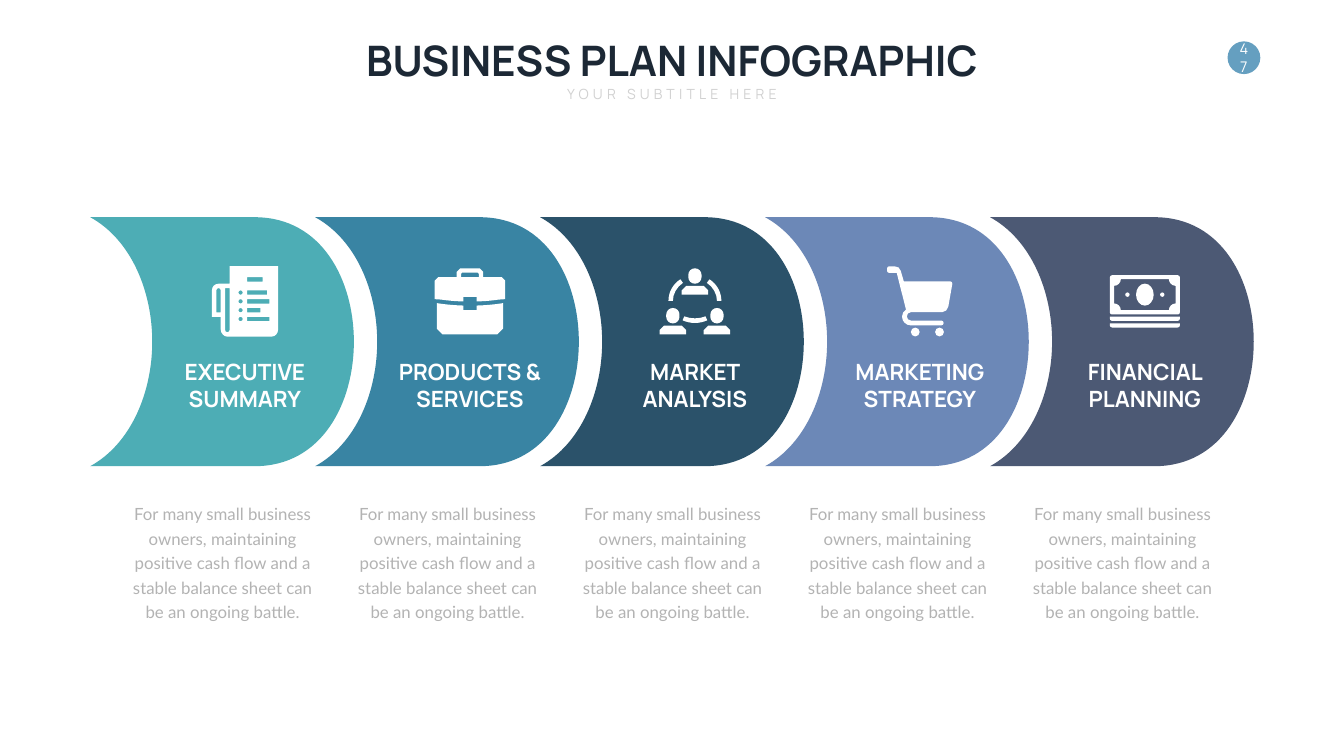
import pptx
import pptx.dml.color
import pptx.enum.shapes
import pptx.enum.text
import pptx.oxml.ns
import pptx.util
from pptx.util import Inches

COLORS = {
    "white": "FFFFFF", "title": "1C2835", "subtitle": "D1D1D1", "body": "B3B3B3",
    "badge": "659FC0", "teal": "4DADB5", "blue": "3984A3", "navy": "2B526A",
    "periwinkle": "6C88B7", "slate": "4C5974",
}
ICON_UNIT = 0.0875  # inches per step of the grid the icons are drawn on
STAGE_PITCH = 4.4625
STAGE_HEIGHT = 4.94
STAGE_CENTER = 3.07  # from the tail of a crescent to the middle of its content
ARC = 0.55  # Bezier handle length of a quarter circle of radius 1
DESCRIPTION = ("For many small business owners, maintaining positive cash flow "
               "and a stable balance sheet can be an ongoing battle.")

# A contour is a list of steps: a pair is a corner, six numbers are a Bezier curve.


def block(left, top, width, height, radii=(0, 0, 0, 0)):
    """Rectangle with corner radii given clockwise from the top left."""
    right, bottom = left + width, top + height
    corners = ((left, top, 0, -1), (right, top, 1, 0),
               (right, bottom, 0, 1), (left, bottom, -1, 0))
    steps = []
    for (x, y, dx, dy), r in zip(corners, radii):
        start = (x - r * dx, y - r * dy)
        if not steps or steps[-1][-2:] != start:
            steps.append(start)
        if r:
            rest = r * (1 - ARC)
            steps.append((x - rest * dx, y - rest * dy,
                          x - rest * dy, y + rest * dx, x - r * dy, y + r * dx))
    return steps


def transform(steps, dx, dy, sx=1, sy=1):
    return [tuple(v * (sy if i % 2 else sx) + (dy if i % 2 else dx)
                  for i, v in enumerate(step)) for step in steps]


def disc(x, y, rx, ry=None):
    return transform(block(-1, -1, 2, 2, (1,) * 4), x, y, rx, ry or rx)


def points_of(steps):
    return [point for step in steps for point in zip(step[::2], step[1::2])]


def document_icon():
    page = [(4, 0), (15, 0), (15, 14.4), (15, 15.2, 14.4, 16, 13.5, 16),
            (3.5, 16), (2.7, 16, 2, 15.2, 2, 14.4), (2, 11.5), (0, 11.5),
            (0, 5.5), (0, 4.6, 0.7, 4, 1.5, 4), (4, 4)]
    lines = [block(8, y, width, 1) for y, width in
             ((2.5, 3.5), (5.5, 4.5), (7.5, 5), (9.5, 3), (11.5, 5))]
    bullets = [disc(6.5, y, 0.5) for y in (6, 8, 10, 12)]
    folds = [block(3, 5, 1, 10, (0, 0, 0.5, 0.5)), block(1, 5, 1, 5.5, (0.5, 0.5, 0, 0))]
    return [page, *lines, *bullets, *folds]


def briefcase_icon():
    base = [(0.5, 7.9), (1.15, 8), (2.9, 8.25, 4.7, 8.4, 6.5, 8.45), (6.5, 9.5),
            (9.5, 9.5), (9.5, 8.45), (11.3, 8.4, 13.1, 8.25, 14.85, 8),
            (15.5, 7.9), (15.5, 13.7), (14.2, 15), (1.8, 15), (0.5, 13.7)]
    lid = [(5.8, 0), (10.2, 0), (11, 0.8), (11, 2), (15.2, 2), (16, 2.8), (16, 7),
           (14.5, 7.1), (12.8, 7.35, 11.1, 7.5, 9.5, 7.5), (9.5, 6.5), (6.5, 6.5),
           (6.5, 7.5), (4.9, 7.5, 3.2, 7.35, 1.5, 7.1), (0, 7), (0, 2.8),
           (0.8, 2), (5, 2), (5, 0.8)]
    handle = [(6.2, 1), (9.8, 1), (10, 1.25), (10, 2), (6, 2), (6, 1.25)]
    return [base, lid, handle]


def team_icon():
    shoulders = [(1, 0), (5, 0), (6, 1), (6, 2), (0, 2), (0, 1)]
    head = block(0, 0, 3, 3.5, (1.5,) * 4)
    people = []
    for x, y in ((5, 0), (0, 9), (10, 9)):
        people += [transform(head, x + 1.5, y), transform(shoulders, x, y + 4)]
    right_arc = [(11.3, 2.5), (13, 3.6, 14, 5.4, 14, 7.4), (13, 7.4),
                 (13, 5.8, 12.1, 4.2, 10.7, 3.3)]
    left_arc = transform(right_arc, 16, 0, sx=-1)
    low_arc = [(5.6, 10.9), (7.1, 11.5, 8.9, 11.5, 10.4, 10.9), (10.8, 11.8),
               (9, 12.6, 7, 12.6, 5.2, 11.8)]
    return [*people, right_arc, left_arc, low_arc]


def cart_icon():
    cart = [(0.5, 0), (1.7, 0), (2.4, 0, 3, 0.4, 3.1, 1), (3.8, 3.4), (14.3, 3.4),
            (14.6, 3.4, 14.9, 3.7, 14.8, 4), (13.9, 9.1),
            (13.8, 9.8, 13.2, 10.4, 12.5, 10.4), (5.4, 10.4),
            (4.2, 10.4, 4.2, 12.3, 5.4, 12.3), (12.3, 12.3),
            (13, 12.3, 13, 13.4, 12.3, 13.4), (5.4, 13.4),
            (4.3, 13.4, 3.4, 12.5, 3.4, 11.4), (3.4, 10.7, 3.8, 10.1, 4.3, 9.8),
            (2.2, 1.5), (0.5, 1.5), (0.2, 1.5, 0, 1.3, 0, 1), (0, 0.5),
            (0, 0.2, 0.2, 0, 0.5, 0)]
    return [cart, disc(6.4, 14.9, 1), disc(11.9, 14.9, 1)]


def money_icon():
    stack = [block(0, y, 15.9, 0.95, (0, 0, 0.5, 0.5)) for y in (9.4, 10.9)]
    bill = block(0, 0, 15.9, 8.9, (0.5,) * 4)
    inset = [(2.5, 0.9), (2.5, 1.7, 1.8, 2.4, 1, 2.4), (1, 6.4),
             (1.8, 6.4, 2.5, 7.1, 2.5, 7.9), (13.4, 7.9),
             (13.4, 7.1, 14.1, 6.4, 14.9, 6.4), (14.9, 2.4),
             (14.1, 2.4, 13.4, 1.7, 13.4, 0.9)]
    return [*stack, bill, inset, disc(7.95, 4.4, 2, 2.5), disc(4, 4.4, 0.5),
            disc(11.9, 4.4, 0.5)]


STAGES = [
    ("EXECUTIVE SUMMARY", "teal", document_icon),
    ("PRODUCTS & SERVICES", "blue", briefcase_icon),
    ("MARKET ANALYSIS", "navy", team_icon),
    ("MARKETING STRATEGY", "periwinkle", cart_icon),
    ("FINANCIAL PLANNING", "slate", money_icon),
]


def rgb(name):
    return pptx.dml.color.RGBColor.from_string(COLORS[name])


def paint(shape, color):
    shape.shadow.inherit = False
    shape.fill.solid()
    shape.fill.fore_color.rgb = rgb(color)
    shape.line.fill.background()


def add_outlines(slide, contours, left, top, color, unit=1):
    """Draw contours as one shape; a contour within another cuts a hole."""
    builder = None
    for contour in contours:
        points = [(Inches(left + x * unit), Inches(top + y * unit))
                  for x, y in points_of(contour)]
        if builder is None:
            builder = slide.shapes.build_freeform(*points[0])
        else:
            builder.move_to(*points[0])
        builder.add_line_segments(points[1:], close=True)
    shape = builder.convert_to_shape()
    paint(shape, color)
    bend(shape, contours)


def bend(shape, contours):
    """Merge the three straight segments of each curved step into one curve."""
    geometry = shape._element.find(".//" + pptx.oxml.ns.qn("a:path"))
    nodes = iter(list(geometry))
    for contour in contours:
        for step in contour:
            node = next(nodes)
            if len(step) == 6:
                node.tag = pptx.oxml.ns.qn("a:cubicBezTo")
                for extra in (next(nodes), next(nodes)):
                    node.append(extra[0])
                    geometry.remove(extra)
        next(nodes)  # the closing mark


def write(frame, text, size, color, font="Manrope", bold=False, wrap=True,
          line_pt=None, tracking=None):
    frame.word_wrap = wrap
    paragraph = frame.paragraphs[0]
    paragraph.alignment = pptx.enum.text.PP_ALIGN.CENTER
    if line_pt:
        paragraph.line_spacing = pptx.util.Pt(line_pt)
    run = paragraph.add_run()
    run.text = text
    run.font.name, run.font.size, run.font.bold = font, pptx.util.Pt(size), bold
    run.font.color.rgb = rgb(color)
    if tracking:
        run.font._element.set("spc", str(tracking * 100))


def add_text(slide, left, top, width, height, text, size, color, **style):
    box = slide.shapes.add_textbox(*map(Inches, (left, top, width, height)))
    write(box.text_frame, text, size, color, **style)
    box.text_frame.auto_size = pptx.enum.text.MSO_AUTO_SIZE.SHAPE_TO_FIT_TEXT


def add_header(slide, left, top, width):
    add_text(slide, left, top, width, 1.11, "BUSINESS PLAN INFOGRAPHIC", 60, "title",
             bold=True, wrap=False)
    add_text(slide, left, top + 1, width, 0.44, "YOUR SUBTITLE HERE", 20, "subtitle",
             wrap=False, tracking=6)


def add_page_badge(slide, left, top, size):
    badge = slide.shapes.add_shape(pptx.enum.shapes.MSO_SHAPE.OVAL,
                                   *map(Inches, (left, top, size, size)))
    paint(badge, "badge")
    badge.text_frame.vertical_anchor = pptx.enum.text.MSO_ANCHOR.MIDDLE
    write(badge.text_frame, "47", 21, "white")


def add_stage(slide, left, top, label, color, icon):
    bottom, middle = STAGE_HEIGHT, STAGE_HEIGHT / 2
    crescent = [(3.26, 0), (0, 0), (0.82, 0.45, 1.23, 1.48, 1.23, middle),
                (1.23, 3.46, 0.82, 4.49, 0, bottom), (3.26, bottom),
                (4.61, bottom, 5.23, 3.67, 5.23, middle),
                (5.23, 1.27, 4.61, 0, 3.26, 0)]
    add_outlines(slide, [crescent], left, top, color)

    contours = icon()
    xs, ys = zip(*(point for contour in contours for point in points_of(contour)))
    center = left + STAGE_CENTER
    add_outlines(slide, contours, center - (min(xs) + max(xs)) / 2 * ICON_UNIT,
                 top + 1.67 - (min(ys) + max(ys)) / 2 * ICON_UNIT, "white", ICON_UNIT)
    add_text(slide, center - 1.765, top + 2.75, 3.53, 1.18, label, 32, "white", bold=True)
    add_text(slide, left + 0.72, top + 5.55, 3.81, 2.5, DESCRIPTION, 24, "body",
             font="Lato", line_pt=35)


def main():
    deck = pptx.Presentation()
    deck.slide_width, deck.slide_height = Inches(26.66), Inches(15)
    slide = deck.slides.add_slide(deck.slide_layouts[6])
    add_page_badge(slide, 24.35, 0.82, 0.65)
    add_header(slide, 7.02, 0.64, 12.62)
    for i, stage in enumerate(STAGES):
        add_stage(slide, 1.79 + i * STAGE_PITCH, 4.31, *stage)
    deck.save("out.pptx")


if __name__ == "__main__":
    main()
